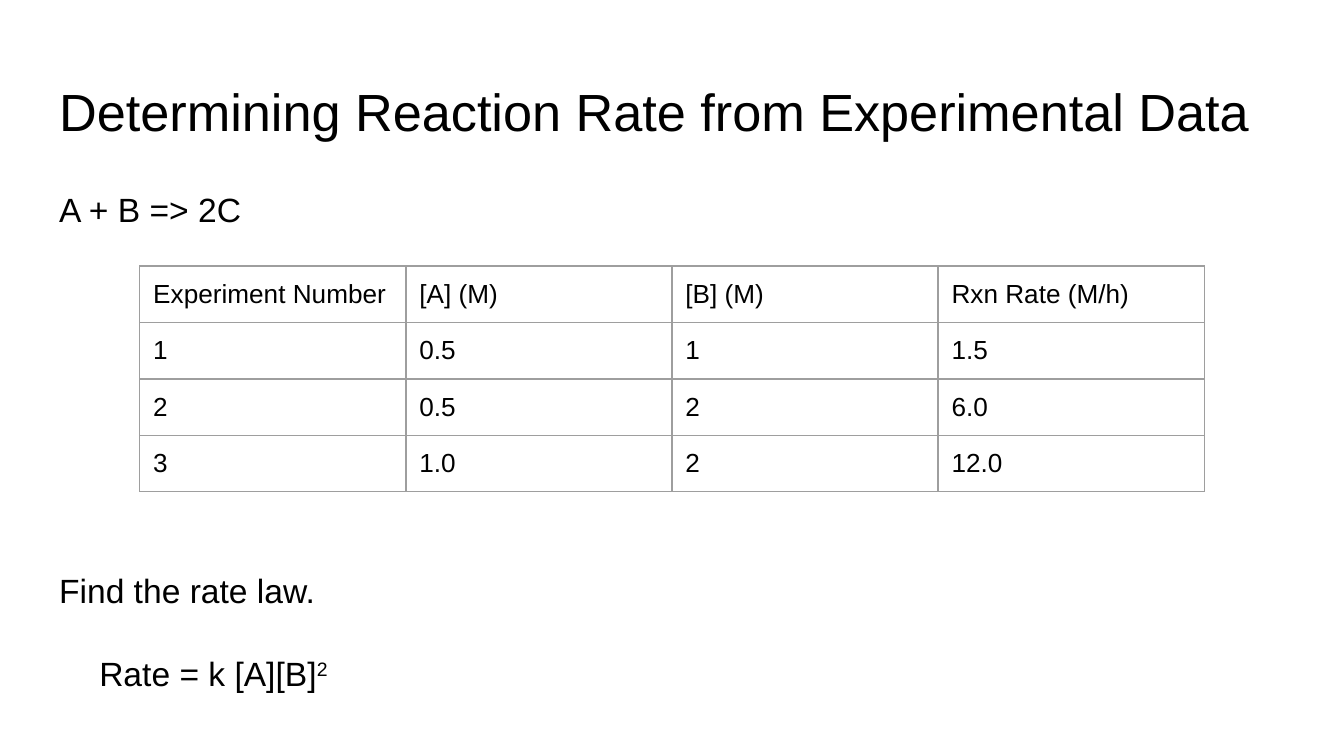
"""Build a slide on finding a rate law from experimental data."""
from lxml.etree import SubElement
from pptx import Presentation
from pptx.dml.color import RGBColor
from pptx.enum.text import MSO_ANCHOR, MSO_AUTO_SIZE, PP_ALIGN
from pptx.oxml.ns import qn
from pptx.util import Inches, Pt

TITLE = "Determining Reaction Rate from Experimental Data"
BODY = [("A + B => 2C", 0), ("Find the rate law.", 163.5)]
ANSWER = [("Rate = k [A][B]", 0), ("2", 30000)]
EXPERIMENTS = [
    ("Experiment Number", "[A] (M)", "[B] (M)", "Rxn Rate (M/h)"),
    ("1", "0.5", "1", "1.5"),
    ("2", "0.5", "2", "6.0"),
    ("3", "1.0", "2", "12.0"),
]
FONT, INK, GRID = "Arial", "000000", "9E9E9E"
SLIDE_W = 10
SLIDE_H = SLIDE_W * 9 / 16
COL_W, ROW_H, INSET = 1.98, 0.42, 0.1


def rgb(value):
    return RGBColor.from_string(value)


def add_run(p, text, size):
    r = p.add_run()
    r.text = text
    r.font.name, r.font.size = FONT, Pt(size)
    r.font.color.rgb = rgb(INK)
    return r


def set_insets(target):
    target.margin_left = target.margin_right = Inches(INSET)
    target.margin_top = target.margin_bottom = Inches(INSET)


def setup_text(sp, left, top, width, height):
    sp.left, sp.top = Inches(left), Inches(top)
    sp.width, sp.height = Inches(width), Inches(height)
    tf = sp.text_frame
    tf.word_wrap = True
    tf.auto_size = MSO_AUTO_SIZE.NONE
    tf.vertical_anchor = MSO_ANCHOR.TOP
    set_insets(tf)
    return tf


def set_borders(cell):
    tc_pr = cell._tc.get_or_add_tcPr()
    for i, side in enumerate(("lnL", "lnR", "lnT", "lnB")):
        ln = tc_pr.makeelement(qn(f"a:{side}"), {"w": str(Pt(0.75))})
        SubElement(SubElement(ln, qn("a:solidFill")), qn("a:srgbClr"), val=GRID)
        tc_pr.insert(i, ln)


def add_body(sp):
    tf = setup_text(sp, 0.34, 1.26, 9.32, 3.74)
    for i, (text, before) in enumerate(BODY):
        p = tf.add_paragraph() if i else tf.paragraphs[0]
        p.line_spacing = 1.15
        p.space_before, p.space_after = Pt(before), Pt(16)
        p_pr = p._p.get_or_add_pPr()
        p_pr.set("marL", "0")
        p_pr.set("indent", "0")
        SubElement(p_pr, qn("a:buNone"))
        add_run(p, text, 18)


def add_experiments(s):
    rows, cols = len(EXPERIMENTS), len(EXPERIMENTS[0])
    table = s.shapes.add_table(rows, cols, Inches(1.04), Inches(1.98),
                               Inches(cols * COL_W), Inches(rows * ROW_H)).table
    table.first_row = table.horz_banding = False
    for i, row in enumerate(EXPERIMENTS):
        for j, text in enumerate(row):
            cell = table.cell(i, j)
            cell.fill.background()
            set_insets(cell)
            set_borders(cell)
            add_run(cell.text_frame.paragraphs[0], text, 14)


def main():
    prs = Presentation()
    prs.slide_width, prs.slide_height = Inches(SLIDE_W), Inches(SLIDE_H)
    s = prs.slides.add_slide(prs.slide_layouts[1])

    p = setup_text(s.shapes.title, 0.34, 0.49, 9.32, 0.63).paragraphs[0]
    p.alignment = PP_ALIGN.LEFT
    add_run(p, TITLE, 28)

    add_body(s.placeholders[1])
    add_experiments(s)

    answer = s.shapes.add_textbox(0, 0, 0, 0)
    p = setup_text(answer, 0.64, 4.76, 3.15, 0.45).paragraphs[0]
    for text, baseline in ANSWER:
        r = add_run(p, text, 18)
        if baseline:
            r._r.get_or_add_rPr().set("baseline", str(baseline))

    prs.save("out.pptx")


if __name__ == "__main__":
    main()
